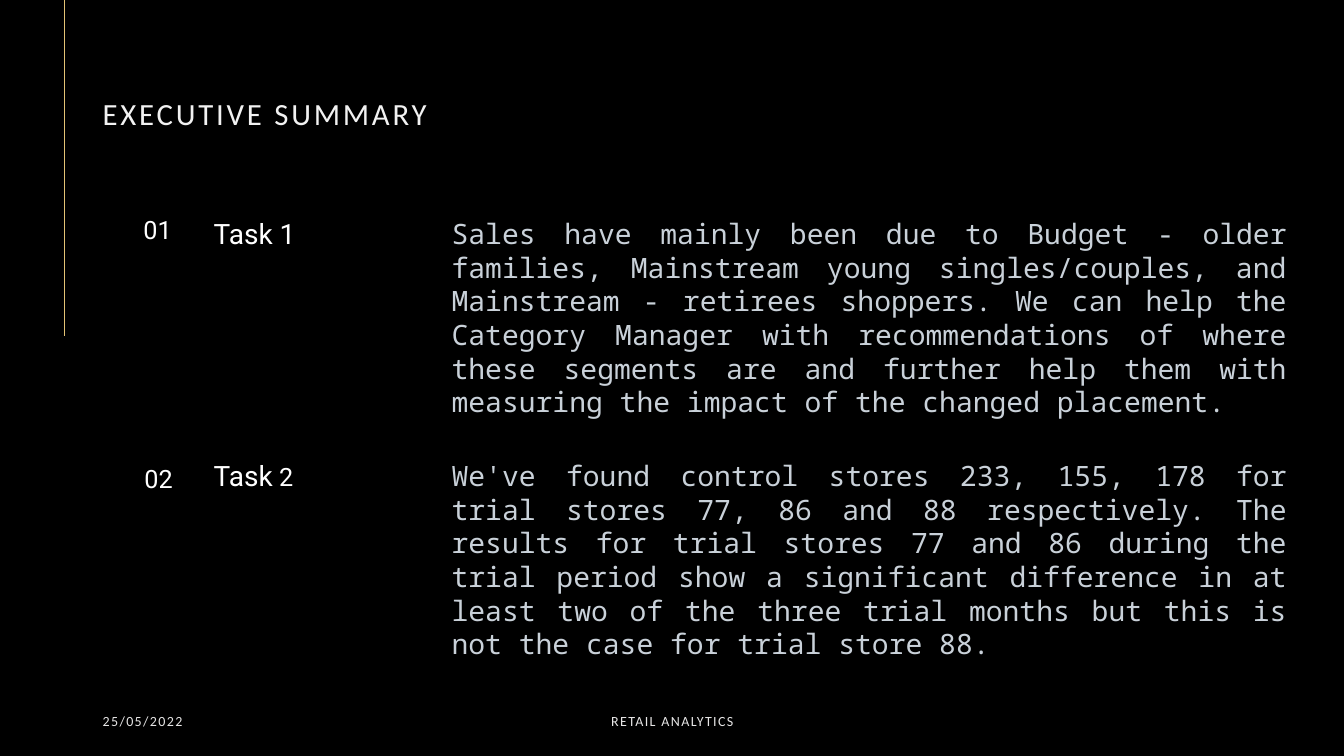
from lxml.etree import SubElement
from pptx import Presentation
from pptx.dml.color import RGBColor
from pptx.enum.shapes import MSO_CONNECTOR, MSO_SHAPE
from pptx.enum.text import MSO_ANCHOR, PP_ALIGN
from pptx.oxml.ns import qn
from pptx.util import Pt

COLORS = {
    "black": "000000",
    "white": "FFFFFF",
    "gold": "E3C375",
    "title": "F2F2F2",
    "footer": "E7E6E6",
    "body": "C9D1D9",
}
TITLE = "EXECUTIVE SUMMARY"
# text, left, width, alignment
FOOTERS = [
    ("25/05/2022", 66.24, 216, PP_ALIGN.LEFT),
    ("RETAIL ANALYTICS", 318.24, 324, PP_ALIGN.CENTER),
]
# number, badge left and top, heading runs with sizes, summary
TASKS = [
    ("01", 93.6, 144.72, [("Task 1", 20)],
     "Sales have mainly been due to Budget - older families, Mainstream young "
     "singles/couples, and Mainstream - retirees shoppers. We can help the "
     "Category Manager with recommendations of where these segments are and "
     "further help them with measuring the impact of the changed placement."),
    ("02", 94.32, 322.56, [("Task", 20), (" 2", 18)],
     "We've found control stores 233, 155, 178 for trial stores 77, 86 and 88 "
     "respectively. The results for trial stores 77 and 86 during the trial "
     "period show a significant difference in at least two of the three trial "
     "months but this is not the case for trial store 88."),
]
TASK_TOP, TASK_PITCH, TASK_HEIGHT = 154.8, 172.8, 135.36
HEADING_LEFT, HEADING_WIDTH = 152.64, 149.04
SUMMARY_LEFT, SUMMARY_WIDTH = 322.56, 596.88
BADGE_SIZE = 38.16


def rgb(name):
    return RGBColor.from_string(COLORS[name])


def write(shape, runs, font, color, align=PP_ALIGN.LEFT, anchor=MSO_ANCHOR.TOP,
          spacing=0, inset=True):
    """Fill a shape with one paragraph of (text, size) runs; spacing is in points."""
    frame = shape.text_frame
    frame.word_wrap = True
    frame.vertical_anchor = anchor
    if not inset:
        frame.margin_left = frame.margin_right = 0
        frame.margin_top = frame.margin_bottom = 0
    paragraph = frame.paragraphs[0]
    paragraph.alignment = align
    for text, size in runs:
        run = paragraph.add_run()
        run.text = text
        run.font.name = font
        run.font.size = Pt(size)
        run.font.color.rgb = rgb(color)
        if spacing:
            run.font._element.set("spc", str(spacing * 100))
    return frame


def main():
    prs = Presentation()
    prs.slide_width, prs.slide_height = Pt(960), Pt(540)
    slide = prs.slides.add_slide(prs.slide_layouts[6])
    slide.background.fill.solid()
    slide.background.fill.fore_color.rgb = rgb("black")

    def add_box(left, top, width, height):
        return slide.shapes.add_textbox(Pt(left), Pt(top), Pt(width), Pt(height))

    accent = slide.shapes.add_connector(
        MSO_CONNECTOR.STRAIGHT, Pt(46), Pt(0), Pt(46), Pt(240))
    accent.line.color.rgb = rgb("gold")
    accent.line.width = Pt(0.5)
    SubElement(accent._element.spPr, qn("a:effectLst"))

    title = write(add_box(66.24, 71.28, 290.16, 26.64), [(TITLE, 22)], "Calibri",
                  "title", anchor=MSO_ANCHOR.BOTTOM, spacing=2)
    title.paragraphs[0].line_spacing = 0.9

    for text, left, width, align in FOOTERS:
        write(add_box(left, 500.4, width, 28.8), [(text, 10)], "Calibri", "footer",
              align, MSO_ANCHOR.MIDDLE, spacing=1)

    for index, (number, badge_left, badge_top, heading, summary) in enumerate(TASKS):
        top = TASK_TOP + index * TASK_PITCH
        badge = slide.shapes.add_shape(MSO_SHAPE.OVAL, Pt(badge_left), Pt(badge_top),
                                       Pt(BADGE_SIZE), Pt(BADGE_SIZE))
        badge.shadow.inherit = False
        badge.fill.solid()
        badge.fill.fore_color.rgb = rgb("black")
        badge.line.color.rgb = rgb("black")
        badge.line.width = Pt(1)
        label = write(badge, [(number, 18)], "Roboto", "white", PP_ALIGN.CENTER,
                      MSO_ANCHOR.MIDDLE)
        label.word_wrap = False
        write(add_box(HEADING_LEFT, top, HEADING_WIDTH, TASK_HEIGHT), heading,
              "Roboto", "white", inset=False)
        write(add_box(SUMMARY_LEFT, top, SUMMARY_WIDTH, TASK_HEIGHT), [(summary, 20)],
              "Noto Sans Mono", "body", PP_ALIGN.JUSTIFY, inset=False)

    prs.save("out.pptx")


if __name__ == "__main__":
    main()
